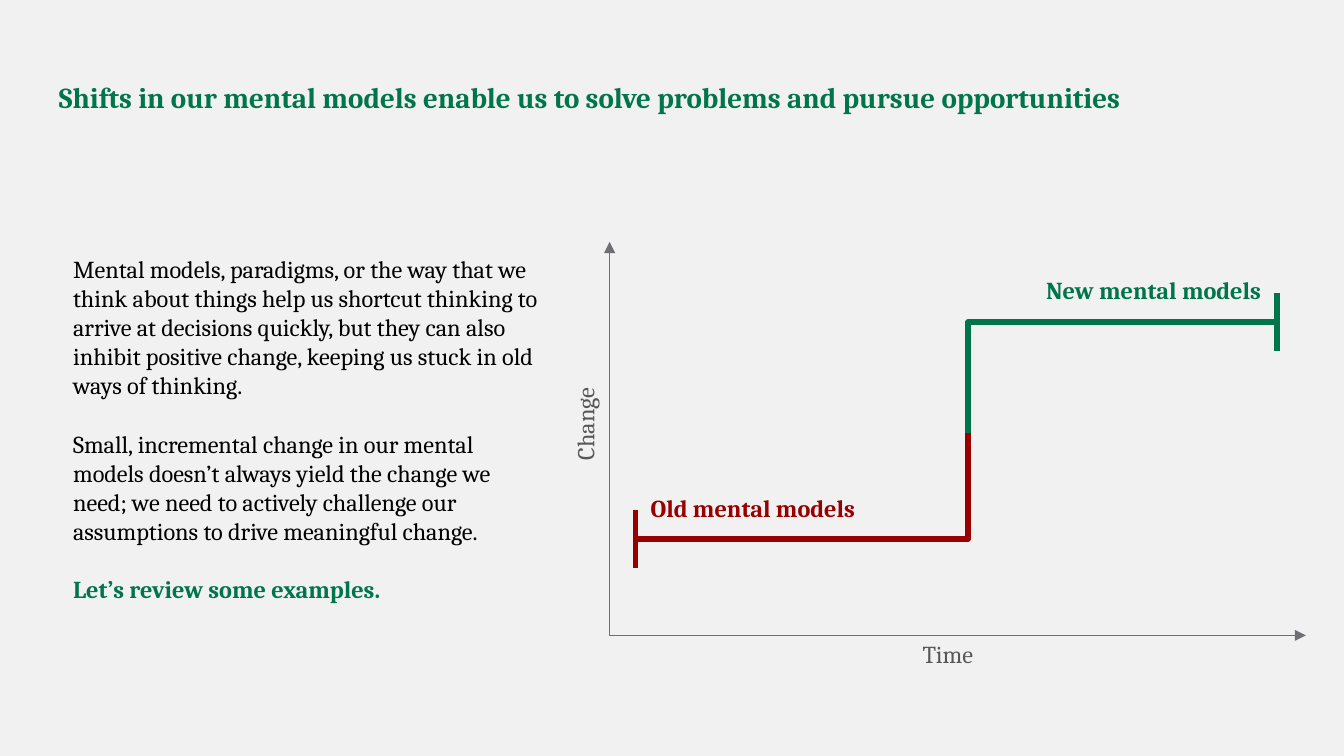
"""Build a slide on how shifts in mental models produce a step change over time."""
from lxml import etree
from pptx import Presentation
from pptx.dml.color import RGBColor
from pptx.enum.shapes import MSO_CONNECTOR
from pptx.enum.text import MSO_ANCHOR, PP_ALIGN
from pptx.oxml.ns import qn
from pptx.util import Pt

LEFT, RIGHT = PP_ALIGN.LEFT, PP_ALIGN.RIGHT
TOP, MIDDLE = MSO_ANCHOR.TOP, MSO_ANCHOR.MIDDLE
STRAIGHT = MSO_CONNECTOR.STRAIGHT
COLORS = {
    "background": "F1F1F1",
    "new": "00754B",
    "old": "980000",
    "axis": "6E6F73",
    "axis_label": "575757",
    "body": "000000",
}


def add_text(page, paragraphs, left, top, width, height, color="body", size=13,
             bold=False, align=LEFT, anchor=TOP, inset=0, spacing=1.0,
             gap=0, rotation=0, wrap=True):
    box = page.shapes.add_textbox(Pt(left), Pt(top), Pt(width), Pt(height))
    box.rotation = rotation
    frame = box.text_frame
    frame.word_wrap = wrap
    frame.vertical_anchor = anchor
    frame.margin_left = frame.margin_right = Pt(inset)
    frame.margin_top = frame.margin_bottom = Pt(inset)
    for index, text in enumerate(paragraphs):
        para = frame.paragraphs[0] if index == 0 else frame.add_paragraph()
        para.alignment = align
        para.line_spacing = spacing
        para.space_before = Pt(gap if index else 0)
        span = para.add_run()
        span.text = text
        span.font.name = "Cambria"
        span.font.size = Pt(size)
        span.font.bold = bold
        span.font.color.rgb = RGBColor.from_string(COLORS[color])
    return box


def add_path(page, points, color, weight):
    corners = [(Pt(x), Pt(y)) for x, y in points]
    builder = page.shapes.build_freeform(*corners[0], scale=1.0)
    builder.add_line_segments(corners[1:], close=False)
    path = builder.convert_to_shape()
    path.shadow.inherit = False
    path.fill.background()
    path.line.color.rgb = RGBColor.from_string(COLORS[color])
    path.line.width = Pt(weight)
    return path


deck = Presentation()
deck.slide_width, deck.slide_height = Pt(720), Pt(405)
page = deck.slides.add_slide(deck.slide_layouts[6])
page.background.fill.solid()
page.background.fill.fore_color.rgb = RGBColor.from_string(COLORS["background"])

add_text(page, ["Shifts in our mental models enable us to solve problems and pursue opportunities"],
         24.5, 35.3, 671, 45.4, color="new", size=15.5, bold=True, inset=7.2)

axes = add_path(page, [(326.6, 129.6), (326.6, 340.4), (699.6, 340.4)], "axis", 0.75)
for end in ("a:headEnd", "a:tailEnd"):
    etree.SubElement(axes.line._get_or_add_ln(), qn(end), type="triangle")

step_x, middle_y, new_y, old_y = 518.6, 233.5, 172.6, 288.8
new_end, old_end = 684, 340.4
add_path(page, [(step_x, middle_y), (step_x, new_y), (new_end, new_y)], "new", 3)
add_path(page, [(old_end, old_y), (step_x, old_y), (step_x, middle_y - 1.5)], "old", 3)

for x, y, color in ((new_end, new_y, "new"), (old_end, old_y, "old")):
    cap = page.shapes.add_connector(STRAIGHT, Pt(x), Pt(y - 15.5), Pt(x), Pt(y + 15.5))
    cap.line.color.rgb = RGBColor.from_string(COLORS[color])
    cap.line.width = Pt(3)
    etree.SubElement(cap._element.spPr, qn("a:effectLst"))

label = {"bold": True, "inset": 3.6, "spacing": 0.96}
add_text(page, ["New mental models"], 525, 144.7, 154, 22.3, color="new", align=RIGHT, **label)
add_text(page, ["Old mental models"], 345, 261.8, 166, 22.3, color="old", **label)

axis_label = {"color": "axis_label", "align": RIGHT, "anchor": MIDDLE, "spacing": 0.96}
add_text(page, ["Change"], 283.7, 230.4, 60.5, 15.1, rotation=270, **axis_label)
add_text(page, ["Time"], 488.9, 343.4, 32.4, 15.1, wrap=False, **axis_label)

body = add_text(page, [
    "Mental models, paradigms, or the way that we think about things help us shortcut "
    "thinking to arrive at decisions quickly, but they can also inhibit positive change, "
    "keeping us stuck in old ways of thinking.",
    "Small, incremental change in our mental models doesn’t always yield the change we "
    "need; we need to actively challenge our assumptions to drive meaningful change.",
    "Let’s review some examples.",
], 32.1, 128.9, 267.8, 194.4, inset=7.2, gap=15.6)
closing = body.text_frame.paragraphs[-1].runs[0].font
closing.bold = True
closing.color.rgb = RGBColor.from_string(COLORS["new"])

deck.save("out.pptx")
